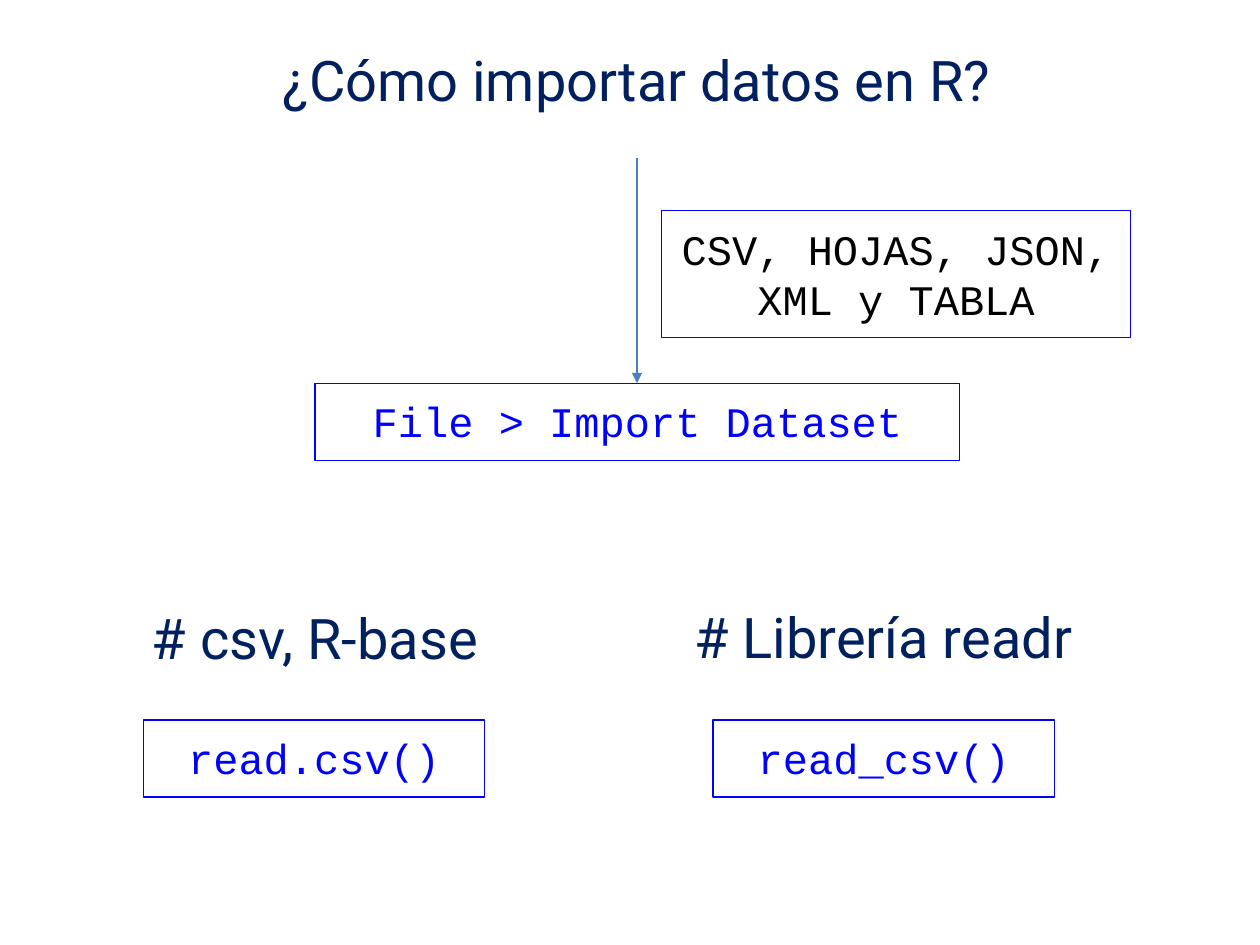
from pptx import Presentation
from pptx.dml.color import RGBColor
from pptx.enum.shapes import MSO_CONNECTOR as Connector, MSO_SHAPE as Shape
from pptx.enum.text import MSO_ANCHOR as Anchor, MSO_AUTO_SIZE as AutoSize, PP_ALIGN as Align
from pptx.oxml.ns import qn
from pptx.util import Pt
from lxml.etree import SubElement

NAVY, BLUE, BLACK, WHITE, STEEL = "002060", "0000FF", "000000", "FFFFFF", "4B7EBC"


def color(code):
    return RGBColor.from_string(code)


def write(shape, text, font="Roboto", size=32, ink=NAVY, anchor=Anchor.MIDDLE,
          margin=3.6, fit=AutoSize.NONE):
    frame = shape.text_frame
    frame.word_wrap = True
    frame.auto_size = fit
    frame.vertical_anchor = anchor
    frame.margin_left = frame.margin_right = Pt(7.2)
    frame.margin_top = frame.margin_bottom = Pt(margin)
    para = frame.paragraphs[0]
    para.alignment = Align.CENTER
    span = para.add_run()
    span.text = text
    span.font.name = font
    span.font.size = Pt(size)
    span.font.color.rgb = color(ink)


deck = Presentation()
deck.slide_width, deck.slide_height = Pt(720), Pt(540)
page = deck.slides.add_slide(deck.slide_layouts[5])

title = page.shapes.title
title.left, title.top, title.width, title.height = Pt(40), Pt(0), Pt(648), Pt(90)
write(title, "¿Cómo importar datos en R?")

arrow = page.shapes.add_connector(Connector.STRAIGHT, Pt(364), Pt(90), Pt(364), Pt(219))
arrow.line.color.rgb = color(STEEL)
arrow.line.width = Pt(0.75)
SubElement(arrow.line._get_or_add_ln(), qn("a:tailEnd"), type="triangle")
SubElement(arrow._element.spPr, qn("a:effectLst"))

headings = [
    ("# csv, R-base", 65.5, 322.5, 229),
    ("# Librería readr", 364, 322, 281.5),
]
for text, left, top, width in headings:
    heading = page.shapes.add_textbox(Pt(left), Pt(top), Pt(width), Pt(83))
    write(heading, text)

code_boxes = [
    ("File > Import Dataset", 180, 219, 368.5, 44, BLUE),
    ("CSV, HOJAS, JSON, XML y TABLA", 378, 120.5, 268, 72.5, BLACK),
    ("read.csv()", 82, 411.5, 195, 44, BLUE),
    ("read_csv()", 407.5, 411.5, 195, 44, BLUE),
]
for text, left, top, width, height, ink in code_boxes:
    box = page.shapes.add_shape(Shape.RECTANGLE, Pt(left), Pt(top), Pt(width), Pt(height))
    box.shadow.inherit = False
    box.fill.solid()
    box.fill.fore_color.rgb = color(WHITE)
    box.line.color.rgb = color(BLUE)
    box.line.width = Pt(0.75)
    write(box, text, font="Courier New", size=24, ink=ink, anchor=Anchor.TOP,
          margin=7.2, fit=AutoSize.SHAPE_TO_FIT_TEXT)

deck.save("out.pptx")
